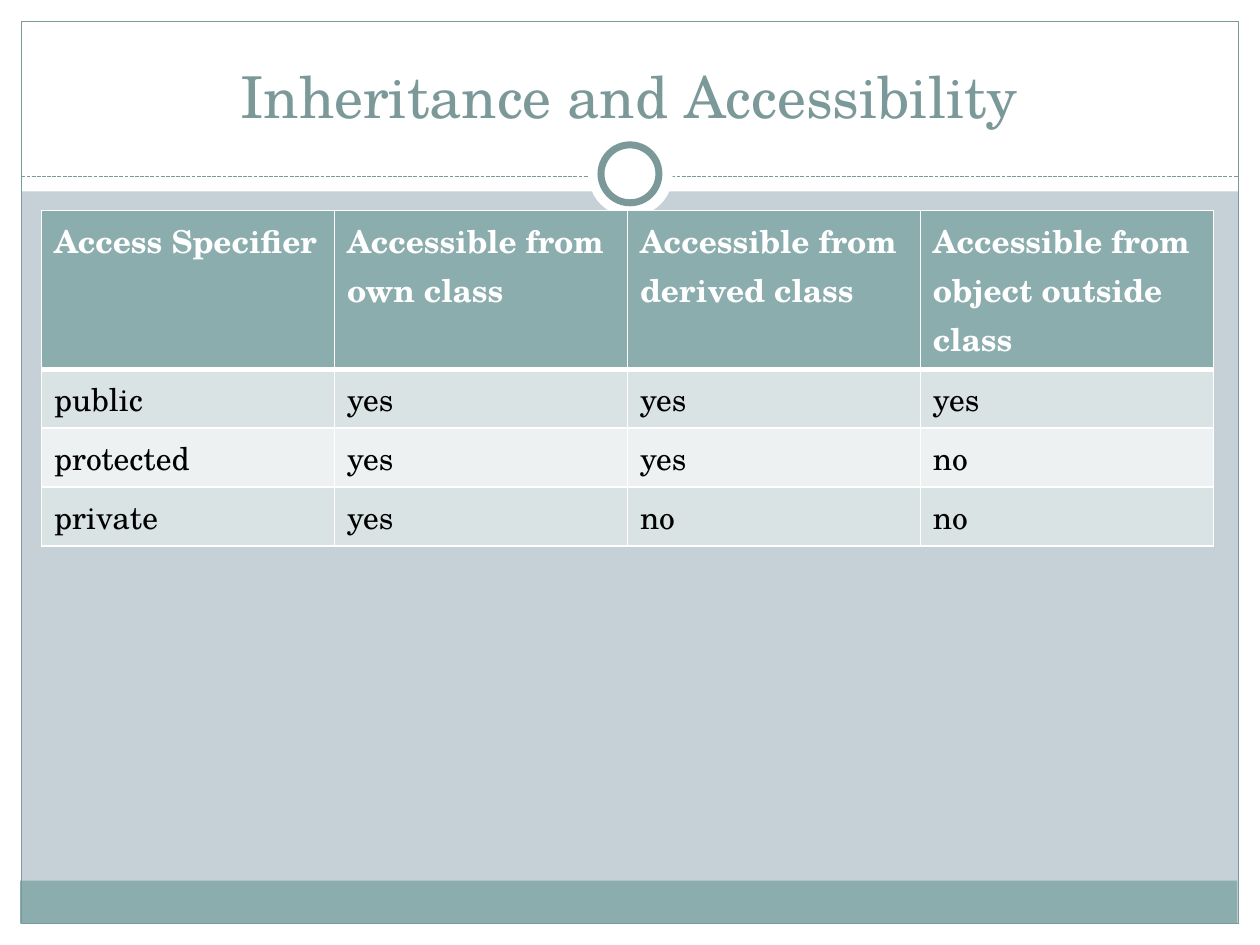
from typing import NamedTuple, Optional

from lxml.etree import SubElement
from pptx import Presentation
from pptx.dml.color import RGBColor
from pptx.enum.dml import MSO_LINE
from pptx.enum.shapes import MSO_CONNECTOR as Conn, MSO_SHAPE as Geo
from pptx.enum.text import MSO_ANCHOR as Anchor, PP_ALIGN as Align
from pptx.oxml.ns import qn
from pptx.util import Inches, Pt

FONT = "TeX Gyre Schola"
WHITE, BLACK, TEAL, EDGE = "FFFFFF", "000000", "8CADAE", "7C999A"
BANDS = ("DAE3E3", "EEF1F2")


class Part(NamedTuple):
    left: float
    top: float
    width: float
    height: float
    fill: Optional[str] = WHITE
    line: float = 0
    geo: Geo = Geo.RECTANGLE


FRAME = [
    Part(0, 7.33, 10, 0.17),
    Part(0, 0, 10, 1.52),
    Part(0, 0, 0.17, 7.5),
    Part(9.83, 0, 0.17, 7.5),
    Part(0.16, 6.99, 9.66, 0.34, TEAL),
    Part(0.17, 0.17, 9.66, 7.16, None, 0.75),
]
RING = [
    Part(4.67, 1.05, 0.67, 0.67, geo=Geo.OVAL),
    Part(4.77, 1.15, 0.46, 0.46, line=4, geo=Geo.OVAL),
]
ROWS = [
    ("Access Specifier", "Accessible from own class",
     "Accessible from derived class", "Accessible from object outside class"),
    ("public", "yes", "yes", "yes"),
    ("protected", "yes", "yes", "no"),
    ("private", "yes", "no", "no"),
]


def paint(fmt, color: str) -> None:
    fmt.solid()
    fmt.fore_color.rgb = RGBColor.from_string(color)


def style(para, size: float, color: str, bold: bool = False) -> None:
    font = para.font
    font.name, font.size, font.bold = FONT, Pt(size), bold
    paint(font.fill, color)


def draw(slide, part: Part) -> None:
    box = map(Inches, part[:4])
    shape = slide.shapes.add_shape(part.geo, *box)
    shape.shadow.inherit = False
    if part.fill:
        paint(shape.fill, part.fill)
    else:
        shape.fill.background()
    if part.line:
        paint(shape.line.fill, EDGE)
        shape.line.width = Pt(part.line)
    else:
        shape.line.fill.background()


def rule(slide, left: float, right: float, top: float) -> None:
    line = slide.shapes.add_connector(
        Conn.STRAIGHT, Inches(left), Inches(top), Inches(right), Inches(top))
    paint(line.line.fill, EDGE)
    line.line.width = Pt(0.75)
    line.line.dash_style = MSO_LINE.SQUARE_DOT
    SubElement(line._element.spPr, qn("a:effectLst"))


def border(cell, top: float, bottom: float) -> None:
    props = cell._tc.get_or_add_tcPr()
    sides = {"lnL": 1, "lnR": 1, "lnT": top, "lnB": bottom}
    for side, width in sides.items():
        edge = SubElement(props, qn(f"a:{side}"), w=str(Pt(width)))
        fill = SubElement(edge, qn("a:solidFill"))
        SubElement(fill, qn("a:srgbClr"), val=WHITE)


def grid(slide) -> None:
    frame = slide.shapes.add_table(
        len(ROWS), len(ROWS[0]), Inches(0.33), Inches(1.67),
        Inches(9.3), Inches(1.64))
    table = frame.table
    for r, row in enumerate(ROWS):
        head = r == 0
        for c, text in enumerate(row):
            cell = table.cell(r, c)
            cell.text = text
            style(cell.text_frame.paragraphs[0], 18,
                  WHITE if head else BLACK, head)
            # Borders come before the fill in the cell properties
            border(cell, 3 if r == 1 else 1, 3 if head else 1)
            paint(cell.fill, TEAL if head else BANDS[(r - 1) % 2])


def main() -> None:
    deck = Presentation()
    deck.slide_width, deck.slide_height = Inches(10), Inches(7.5)
    slide = deck.slides.add_slide(deck.slide_layouts[5])
    paint(slide.background.fill, "C5D1D7")

    # Frame, dashed rule and ring
    for part in FRAME:
        draw(slide, part)
    rule(slide, 0.17, 9.83, 1.4)
    for part in RING:
        draw(slide, part)

    # Title, in front of the frame
    title = slide.shapes.title
    slide.shapes._spTree.append(title._element)
    title.left, title.top = Inches(0.33), Inches(0.25)
    title.width, title.height = Inches(9.33), Inches(0.83)
    title.text_frame.text = "Inheritance and Accessibility"
    title.text_frame.vertical_anchor = Anchor.BOTTOM
    para = title.text_frame.paragraphs[0]
    para.alignment = Align.CENTER
    style(para, 33, EDGE)

    # Access table
    grid(slide)
    deck.save("out.pptx")


if __name__ == "__main__":
    main()
